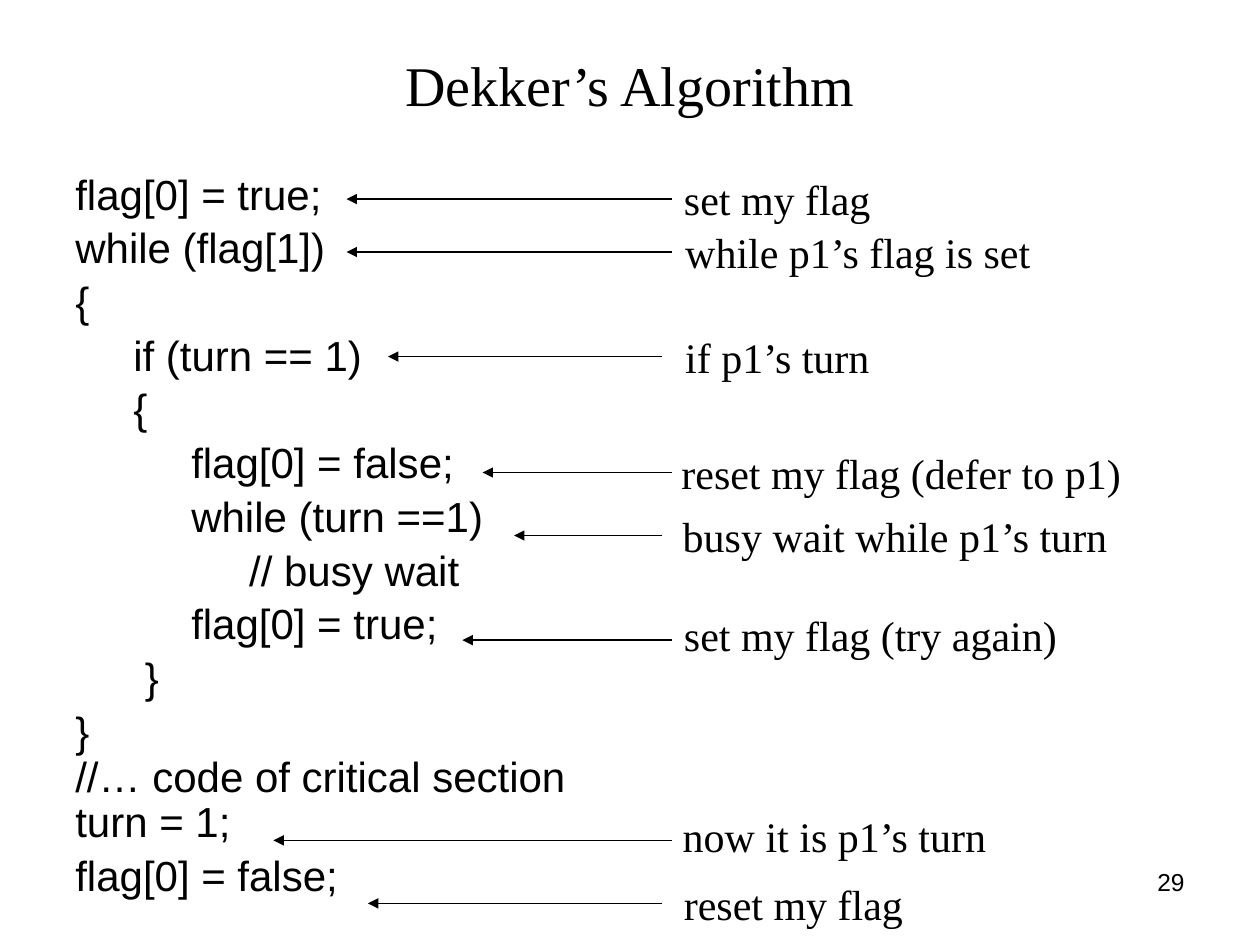
import pptx
import pptx.util
import pptx.dml.color
import pptx.enum.shapes
import pptx.enum.text
import pptx.oxml.ns
import lxml.etree

Inches = pptx.util.Inches
Pt = pptx.util.Pt
ALIGN = pptx.enum.text.PP_ALIGN
ANCHOR = pptx.enum.text.MSO_ANCHOR
COLORS = {"ink": "000000", "paper": "FFFFFF"}
SANS, SERIF = "Arial", "Times New Roman"
INDENT = 0.46

CODE = [
    (0, "flag[0] = true;", 4.8),
    (0, "while (flag[1])", 4.8),
    (0, "{", 4.8),
    (1, "if (turn == 1)", 4.8),
    (1, "{", 4.8),
    (2, "flag[0] = false;", 4.8),
    (2, "while (turn ==1)", 4.8),
    (3, "// busy wait", 4.8),
    (2, "flag[0] = true;", 4.8),
    (1.2, "}", 4.8),
    (0, "}", 4.8),
    (0, "//… code of critical section", 0),
    (0, "turn = 1;", 0),
    (0, "flag[0] = false;", 4.8),
]

NOTES = [
    ("set my flag", 5.33, 1.33, 1.68, 1.58, 5.33, 2.75),
    ("while p1’s flag is set", 5.34, 1.75, 2.94, 2, 5.33, 2.75),
    ("if p1’s turn", 5.34, 2.58, 1.66, 2.83, 5.25, 3.08),
    ("reset my flag (defer to p1)", 5.31, 3.5, 3.69, 3.75, 5.33, 3.83),
    ("busy wait while p1’s turn", 5.32, 4, 3.57, 4.25, 5.25, 4.08),
    ("set my flag (try again)", 5.33, 4.79, 3.17, 5.08, 5.33, 3.67),
    ("now it is p1’s turn", 5.32, 6.38, 2.61, 6.67, 5.33, 2.17),
    ("reset my flag", 5.33, 6.92, 1.94, 7.17, 5.25, 2.92),
]


def rgb(name):
    return pptx.dml.color.RGBColor.from_string(COLORS[name])


def style(p, font, size):
    for r in p.runs:
        r.font.name = font
        r.font.size = Pt(size)
        r.font.color.rgb = rgb("ink")


def add_text(s, box, text, font, size, align=ALIGN.LEFT, anchor=ANCHOR.TOP, wrap=True):
    tf = s.shapes.add_textbox(*map(Inches, box)).text_frame
    tf.text = text
    tf.word_wrap = wrap
    tf.vertical_anchor = anchor
    for p in tf.paragraphs:
        p.alignment = align
        style(p, font, size)
    return tf


def add_code(s, box):
    tf = add_text(s, box, "\n".join(line for _, line, _ in CODE), SANS, 24)
    for p, (level, _, before) in zip(tf.paragraphs, CODE):
        p.line_spacing = 0.9
        p.space_before = Pt(before)
        pPr = p._p.get_or_add_pPr()
        pPr.set("marL", str(Inches(level * INDENT)))
        pPr.set("indent", "0")


def add_arrow(s, x1, x2, y):
    line = s.shapes.add_connector(
        pptx.enum.shapes.MSO_CONNECTOR.STRAIGHT,
        Inches(x1), Inches(y), Inches(x2), Inches(y))
    line.line.color.rgb = rgb("ink")
    line.line.width = Pt(0.75)
    qn = pptx.oxml.ns.qn
    lxml.etree.SubElement(line.line._get_or_add_ln(), qn("a:tailEnd"), type="triangle")
    lxml.etree.SubElement(line._element.spPr, qn("a:effectLst"))


def add_notes(s, left, top):
    for text, x, y, width, arrow_y, start, end in NOTES:
        add_text(s, (left + x, top + y, width, 0.5), text, SERIF, 24, wrap=False)
        add_arrow(s, left + start, left + end, top + arrow_y)


def main():
    prs = pptx.Presentation()
    prs.slide_width, prs.slide_height = Inches(10), Inches(7.5)
    s = prs.slides.add_slide(prs.slide_layouts[6])
    s.background.fill.solid()
    s.background.fill.fore_color.rgb = rgb("paper")
    add_text(s, (7.17, 6.83, 2.33, 0.52), "29", SANS, 14, ALIGN.RIGHT)
    add_text(s, (0.5, 0.08, 9, 1.17), "Dekker’s Algorithm", SERIF, 32,
             ALIGN.CENTER, ANCHOR.MIDDLE)
    add_code(s, (0.5, 1.33, 9, 6))
    add_notes(s, 0, 0)
    prs.save("out.pptx")


if __name__ == "__main__":
    main()
